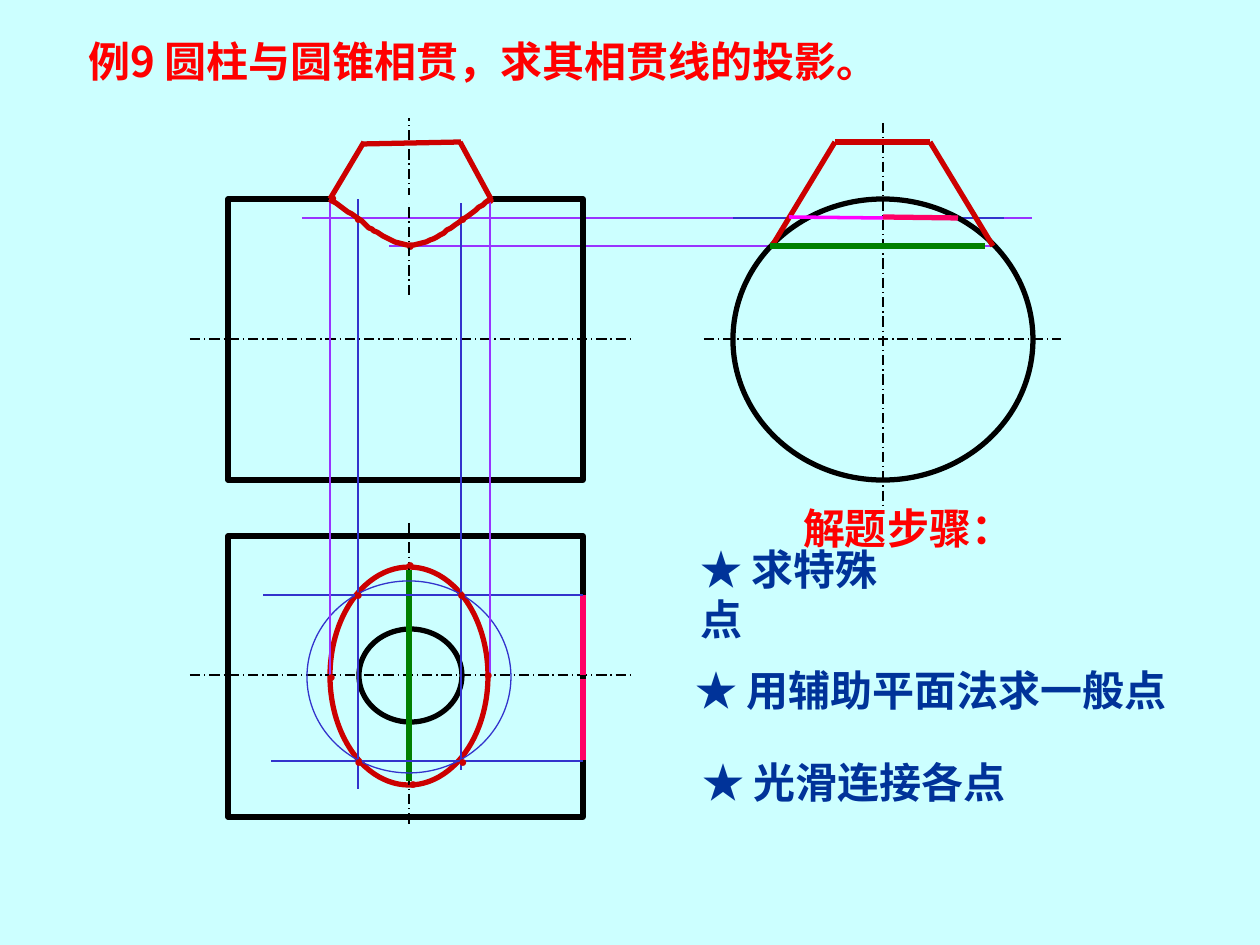
from dataclasses import dataclass

from pptx import Presentation, util as u
from pptx.dml.color import RGBColor
from pptx.enum import dml, shapes, text
from pptx.oxml import ns, xmlchemy as xml

SCALE = 914400 / 126


@dataclass(frozen=True)
class Theme:
    back: str = "CCFFFF"
    black: str = "000000"
    red: str = "CC0000"
    title: str = "FF0000"
    step: str = "003399"
    violet: str = "9933FF"
    blue: str = "3333CC"
    green: str = "008000"
    magenta: str = "FF00FF"
    pink: str = "FF0066"
    sans: str = "Noto Sans CJK SC"
    serif: str = "Times New Roman"
    head: int = 24
    dot: int = 9
    thin: float = 0.75
    mid: float = 1.5
    trace: float = 2
    bold: float = 3
    mask: float = 4.5


T = Theme()


def px(n):
    return u.Emu(round(n * SCALE))


def rgb(code):
    return RGBColor.from_string(code)


def stroke(shape, color, width):
    shape.line.color.rgb = rgb(color)
    shape.line.width = u.Pt(width)


def line(slide, x1, y1, x2, y2, color, width=T.thin, axis=False):
    """Straight line; an axis is drawn in long dashes and dots."""
    item = slide.shapes.add_connector(
        shapes.MSO_CONNECTOR.STRAIGHT, px(x1), px(y1), px(x2), px(y2))
    stroke(item, color, width)
    if axis:
        item.line.dash_style = dml.MSO_LINE.LONG_DASH_DOT
    item._element.spPr.append(xml.OxmlElement("a:effectLst"))


def axis(slide, *ends):
    line(slide, *ends, T.black, axis=True)


def outline(slide, kind, x, y, w, h, color=T.black, width=T.bold):
    item = slide.shapes.add_shape(kind, px(x), px(y), px(w), px(h))
    item.shadow.inherit = False
    item.fill.background()
    stroke(item, color, width)


def oval(slide, *box, **style):
    outline(slide, shapes.MSO_SHAPE.OVAL, *box, **style)


def rect(slide, *box):
    outline(slide, shapes.MSO_SHAPE.RECTANGLE, *box)


def curve(slide, start, parts, color, width, steps=8):
    """Smooth open line through cubic Bezier parts (two controls and an end)."""
    points, a = [], start
    for b, c, d in parts:
        for i in range(1, steps + 1):
            t = i / steps
            s = 1 - t
            mix = (s**3, 3 * s * s * t, 3 * s * t * t, t**3)
            points.append(tuple(
                sum(m * p[k] for m, p in zip(mix, (a, b, c, d)))
                for k in (0, 1)))
        a = d
    pen = slide.shapes.build_freeform(*start, scale=SCALE)
    pen.add_line_segments(points, close=False)
    item = pen.convert_to_shape()
    item.shadow.inherit = False
    item.fill.background()
    stroke(item, color, width)


def label(slide, words, x, y, w, h=63, *, color=T.step, size=T.head,
          face=T.sans, bold=True, center=False, wrap=False, middle=True):
    box = slide.shapes.add_textbox(px(x), px(y), px(w), px(h))
    frame = box.text_frame
    frame.word_wrap = wrap
    frame.auto_size = text.MSO_AUTO_SIZE.SHAPE_TO_FIT_TEXT
    if middle:
        frame.vertical_anchor = text.MSO_ANCHOR.MIDDLE
    para = frame.paragraphs[0]
    para.alignment = text.PP_ALIGN.CENTER if center else text.PP_ALIGN.LEFT
    run = para.add_run()
    run.text = words
    font = run.font
    font.name, font.size, font.bold = face, u.Pt(size), bold
    font.color.rgb = rgb(color)
    east = xml.OxmlElement("a:ea")
    east.set("typeface", face)
    run._r.find(ns.qn("a:rPr")).append(east)


def dots(slide, *spots):
    for x, y, w in spots:
        label(slide, "●", x, y, w, 32, color=T.red, size=T.dot,
              face=T.serif, bold=False, center=True, wrap=True)


def views(slide):
    """Cylinder and cone outlines in the three views."""
    line(slide, 995, 246, 389, 246, T.violet)
    dots(slide, (387, 229, 47))
    line(slide, 302, 218, 1032, 218, T.violet)
    line(slide, 733, 218, 1004, 218, T.blue, T.mid)
    oval(slide, 330, 567, 158, 218, color=T.red)
    axis(slide, 704, 339, 1061, 339)
    axis(slide, 883, 123, 883, 508)
    oval(slide, 733, 199, 300, 281)
    for top, mid in ((199, 339), (536, 675)):
        axis(slide, 190, mid, 630, mid)
        rect(slide, 228, top, 355, 281)
    axis(slide, 409, 523, 409, 827)
    axis(slide, 409, 295, 409, 118)
    oval(slide, 359, 629, 103, 93)
    line(slide, 330, 199, 490, 199, T.back, T.mask)
    for edge in ((930, 142, 993, 246), (835, 142, 772, 246),
                 (835, 142, 930, 142), (363, 144, 461, 142),
                 (364, 142, 330, 199), (460, 142, 491, 199)):
        line(slide, *edge, T.red, T.bold)


def points(slide):
    """Special points, general points and their projection lines."""
    line(slide, 770, 246, 985, 246, T.green, T.bold)
    line(slide, 409, 781, 409, 570, T.green, T.bold)
    line(slide, 789, 217, 883, 218, T.magenta, T.trace)
    oval(slide, 307, 581, 204, 192, color=T.blue, width=T.thin)
    line(slide, 883, 217, 958, 218, T.pink, T.bold)
    line(slide, 583, 675, 583, 595, T.pink, T.bold)
    for ray in ((583, 595, 263, 595), (583, 761, 271, 761),
                (461, 770, 461, 203), (358, 789, 358, 199)):
        line(slide, *ray, T.blue)
    dots(slide, (330, 202, 57), (444, 202, 38), (396, 767, 28),
         (387, 548, 47), (444, 745, 38), (340, 745, 38),
         (433, 578, 57), (330, 578, 57))
    line(slide, 583, 760, 583, 679, T.pink, T.bold)
    dots(slide, (467, 183, 47), (307, 181, 52))
    for x in (490, 330):
        line(slide, x, 199, x, 675, T.violet)
    dots(slide, (305, 660, 53), (462, 658, 53))


def main():
    deck = Presentation()
    deck.slide_width, deck.slide_height = px(1260), px(945)
    slide = deck.slides.add_slide(deck.slide_layouts[6])
    slide.background.fill.solid()
    slide.background.fill.fore_color.rgb = rgb(T.back)

    views(slide)
    points(slide)
    label(slide, "解题步骤：", 770, 496, 234, color=T.title, center=True)
    label(slide, "★ 求特殊点", 688, 562, 244)
    label(slide, "★ 用辅助平面法求一般点", 683, 658, 539, wrap=True)
    label(slide, "★ 光滑连接各点", 690, 750, 329)
    curve(slide, (330, 199), (
        ((335, 203), (352, 214), (359, 219)),
        ((367, 226), (368, 228), (377, 232)),
        ((384, 236), (397, 244), (407, 245)),
        ((417, 246), (427, 242), (437, 237)),
        ((446, 232), (456, 224), (465, 218)),
        ((474, 212), (485, 202), (491, 199)),
    ), T.red, T.bold)
    label(slide, "例9 圆柱与圆锥相贯，求其相贯线的投影。", 76, 29, 845,
          color=T.title, middle=False)
    deck.save("out.pptx")


if __name__ == "__main__":
    main()
